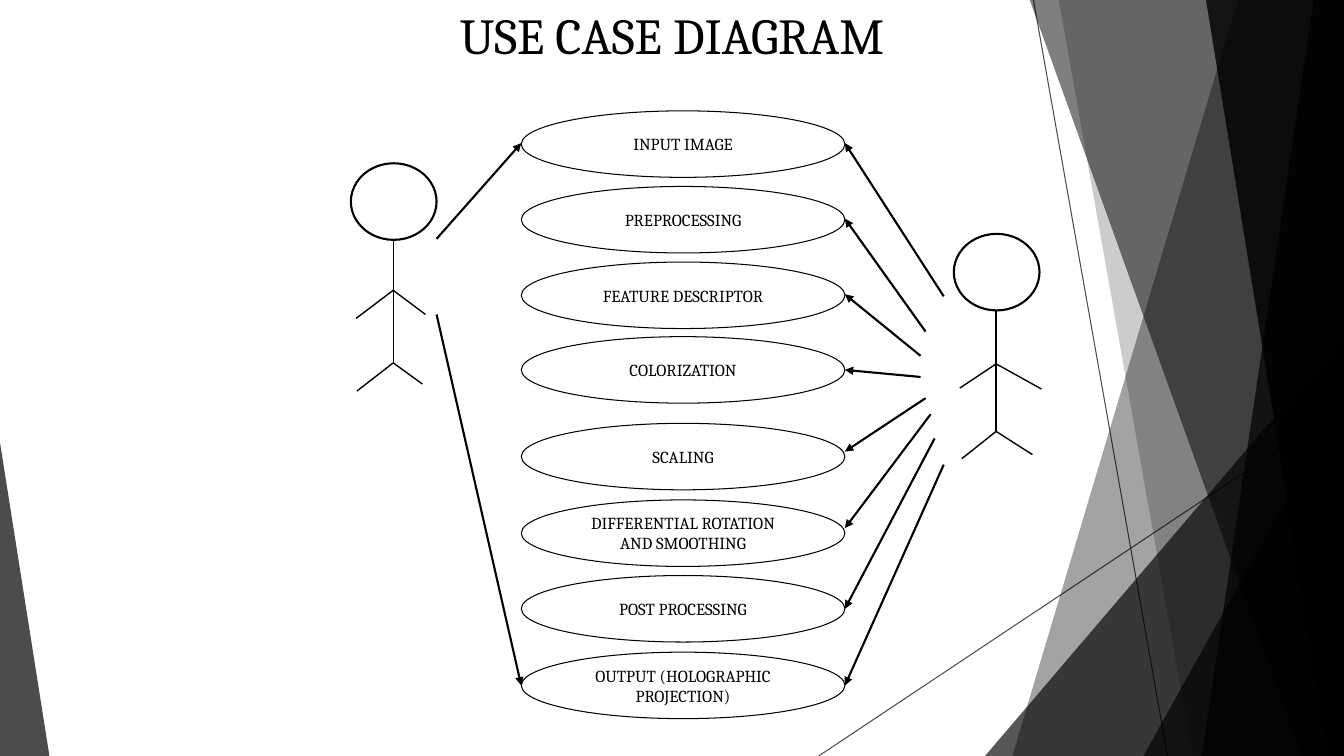
from lxml import etree
from pptx import Presentation
from pptx.dml.color import RGBColor
from pptx.enum.shapes import MSO_CONNECTOR, MSO_SHAPE
from pptx.enum.text import MSO_ANCHOR, PP_ALIGN
from pptx.oxml.ns import qn
from pptx.util import Inches, Pt

COLORS = {"ink": "000000", "paper": "FFFFFF"}
FONT = "Cambria"
SLIDE_WIDTH, SLIDE_HEIGHT = 13.33, 7.5
BLEED = -0.01

# Right-hand panels: top left x, bottom left x, opacity in percent
PANELS_BEHIND = [(12.28, 10.04, 36), (10.5, 11.83, 20)]
PANELS_FRONT = [(10.21, 12.91, 50), (13.03, 11.92, 70), (11.96, 13.18, 80)]

OVAL_LEFT, OVAL_WIDTH, OVAL_HEIGHT = 5.17, 3.21, 0.66
OVAL_RIGHT = OVAL_LEFT + OVAL_WIDTH
USE_CASES = [
    ("INPUT IMAGE", 1.1),
    ("PREPROCESSING", 1.85),
    ("FEATURE DESCRIPTOR", 2.6),
    ("COLORIZATION", 3.34),
    ("SCALING", 4.2),
    ("DIFFERENTIAL ROTATION AND SMOOTHING", 4.96),
    ("POST PROCESSING", 5.71),
    ("OUTPUT (HOLOGRAPHIC PROJECTION)", 6.47),
]

# Arrows as start point and the height at which they meet the ovals
LEFT_ARROWS = [((4.33, 2.37), 1.42), ((4.33, 3.12), 6.8)]
RIGHT_ARROWS = [
    ((9.36, 2.94), 1.42), ((9.18, 3.29), 2.17), ((9.13, 3.53), 2.92),
    ((9.13, 3.74), 3.67), ((9.18, 3.95), 4.48), ((9.23, 4.11), 5.24),
    ((9.27, 4.35), 6.04), ((9.36, 4.61), 6.8),
]


class SlideBuilder:
    def __init__(self, deck):
        self.slide = deck.slides.add_slide(deck.slide_layouts[5])
        self.shapes = self.slide.shapes

    def color(self, name):
        return RGBColor.from_string(COLORS[name])

    def fill(self, shape, name, opacity=100):
        shape.shadow.inherit = False
        shape.fill.solid()
        shape.fill.fore_color.rgb = self.color(name)
        if opacity < 100:
            self.fade(shape._element.spPr, opacity)

    def fade(self, parent, opacity):
        """Make the solid fill inside an XML element partly transparent."""
        tint = parent.find(qn("a:solidFill"))[0]
        etree.SubElement(tint, qn("a:alpha"), val=str(opacity * 1000))

    def label(self, shape, text, size, anchor):
        frame = shape.text_frame
        frame.word_wrap = True
        frame.vertical_anchor = anchor
        frame.text = text
        para = frame.paragraphs[0]
        para.alignment = PP_ALIGN.CENTER
        font = para.runs[0].font
        font.name, font.size = FONT, Pt(size)
        font.color.rgb = self.color("ink")

    def title(self, text):
        box = self.shapes.title
        box.left, box.top = Inches(0), Inches(BLEED)
        box.width, box.height = Inches(SLIDE_WIDTH), Inches(1.45)
        self.label(box, text, 36, MSO_ANCHOR.TOP)

    def panel(self, top_left, bottom_left, opacity):
        """Draw a slanted panel that reaches the right edge of the slide."""
        corners = [(top_left, BLEED), (SLIDE_WIDTH, BLEED),
                   (SLIDE_WIDTH, SLIDE_HEIGHT), (bottom_left, SLIDE_HEIGHT)]
        points = [(Inches(x), Inches(y)) for x, y in corners]
        outline = self.shapes.build_freeform(*points[0])
        outline.add_line_segments(points[1:], close=True)
        shape = outline.convert_to_shape()
        self.fill(shape, "ink", opacity)
        shape.line.fill.background()

    def triangle(self, left, top, width, apex, opacity):
        """Draw a triangle down to the bottom edge; apex runs from 0 to 1."""
        shape = self.shapes.add_shape(
            MSO_SHAPE.ISOSCELES_TRIANGLE, Inches(left), Inches(top),
            Inches(width), Inches(SLIDE_HEIGHT - top))
        shape.adjustments[0] = apex
        self.fill(shape, "ink", opacity)
        shape.line.fill.background()

    def oval(self, left, top, width, height, weight):
        shape = self.shapes.add_shape(
            MSO_SHAPE.OVAL, Inches(left), Inches(top),
            Inches(width), Inches(height))
        self.fill(shape, "paper")
        shape.line.color.rgb = self.color("ink")
        shape.line.width = Pt(weight)
        return shape

    def use_case(self, text, top):
        shape = self.oval(OVAL_LEFT, top, OVAL_WIDTH, OVAL_HEIGHT, 0.75)
        self.label(shape, text, 12, MSO_ANCHOR.MIDDLE)

    def line(self, start, end, weight=1, opacity=100, arrow=False):
        connector = self.shapes.add_connector(
            MSO_CONNECTOR.STRAIGHT, *[Inches(n) for n in (*start, *end)])
        connector.line.color.rgb = self.color("ink")
        connector.line.width = Pt(weight)
        properties = connector._element.spPr
        outline = properties.find(qn("a:ln"))
        if opacity < 100:
            self.fade(outline, opacity)
        if arrow:
            etree.SubElement(outline, qn("a:tailEnd"), type="triangle")
        etree.SubElement(properties, qn("a:effectLst"))

    def actor(self, x, top, shoulder, hip, hands, feet):
        """Draw a stick figure; all parts are offsets from its spine and top."""
        self.oval(x - 0.42, top, 0.85, 0.76, 1.5)
        self.line((x, top + 0.77), (x, top + hip))
        for joint, tips in ((shoulder, hands), (hip, feet)):
            for across, down in tips:
                self.line((x, top + joint), (x + across, top + down))


def main():
    deck = Presentation()
    deck.slide_width, deck.slide_height = Inches(SLIDE_WIDTH), Inches(SLIDE_HEIGHT)
    page = SlideBuilder(deck)

    page.line((10.25, 0), (11.58, SLIDE_HEIGHT), 0.75, opacity=70)
    page.line((SLIDE_WIDTH, 4.03), (8.12, SLIDE_HEIGHT), 0.75, opacity=70)
    for panel in PANELS_BEHIND:
        page.panel(*panel)
    page.triangle(9.77, 3.33, 3.56, apex=1, opacity=66)
    for panel in PANELS_FRONT:
        page.panel(*panel)
    page.triangle(11.34, 3.93, 1.99, apex=1, opacity=66)
    page.triangle(0, 4.39, 0.49, apex=0, opacity=70)

    page.title("USE CASE DIAGRAM")
    for text, top in USE_CASES:
        page.use_case(text, top)
    for edge, arrows in ((OVAL_LEFT, LEFT_ARROWS), (OVAL_RIGHT, RIGHT_ARROWS)):
        for start, height in arrows:
            page.line(start, (edge, height), 1.5, arrow=True)

    page.actor(3.9, 1.62, shoulder=1.26, hip=1.98,
               hands=[(-0.37, 1.54), (0.32, 1.5)],
               feet=[(-0.36, 2.26), (0.29, 2.19)])
    page.actor(9.88, 2.32, shoulder=1.29, hip=1.96,
               hands=[(-0.36, 1.53), (0.45, 1.54)],
               feet=[(-0.34, 2.23), (0.36, 2.19)])
    deck.save("out.pptx")


if __name__ == "__main__":
    main()
